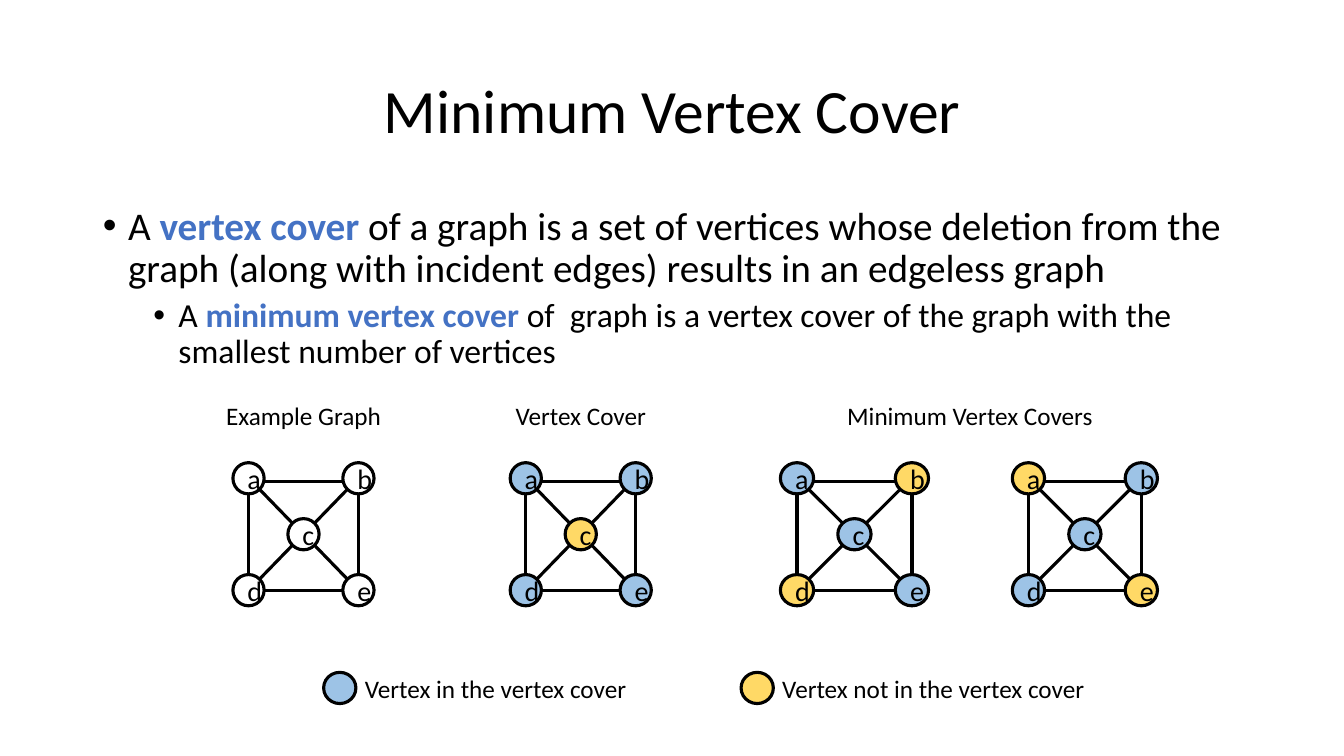
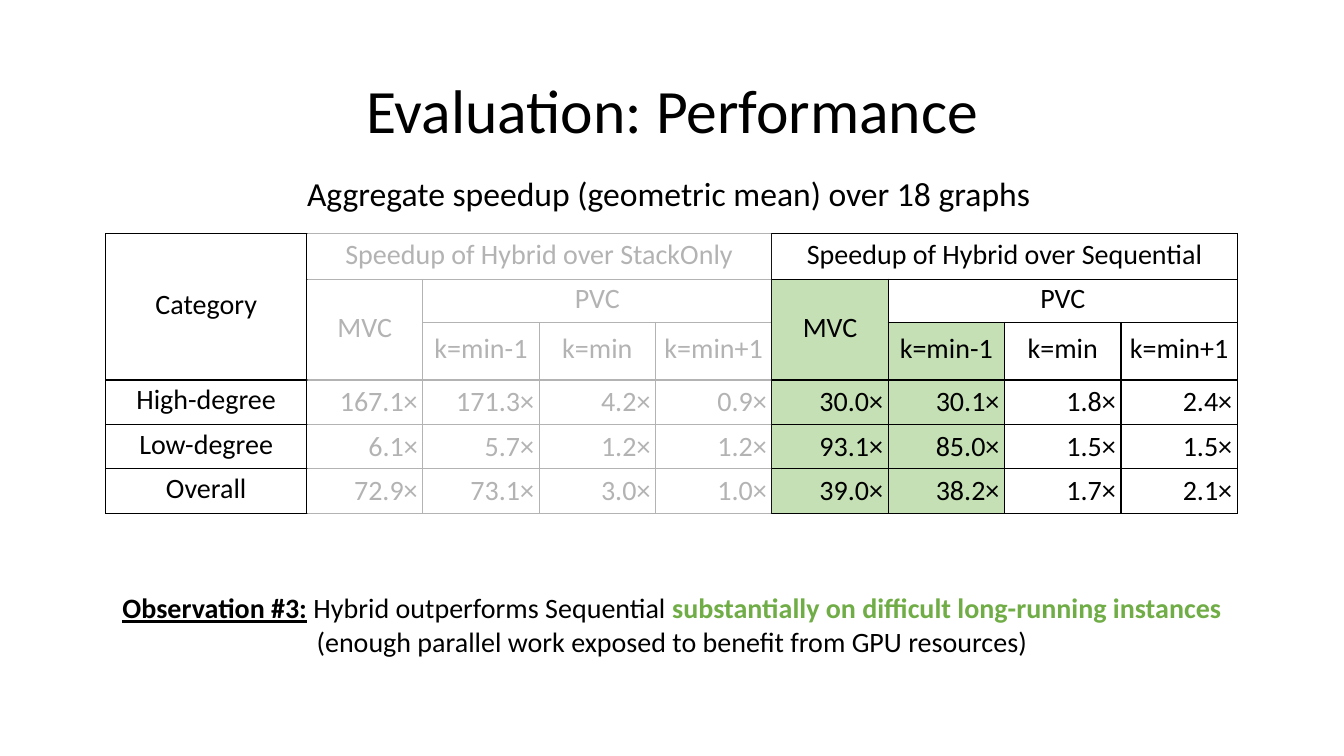
from lxml.etree import SubElement
from pptx import Presentation
from pptx.dml.color import RGBColor
from pptx.enum.shapes import MSO_CONNECTOR, MSO_SHAPE
from pptx.enum.text import MSO_ANCHOR, MSO_AUTO_SIZE, PP_ALIGN
from pptx.oxml.ns import qn
from pptx.util import Inches, Pt

# Shared style
FONT = "Calibri"
COLORS = {"black": "000000", "white": "FFFFFF", "term": "4472C4", "cover": "9DC3E6",
          "other": "FFD966", "highlight": "C5E0B4", "finding": "70AD47"}
TITLE_AREA = (0.92, 0.4, 11.5, 1.45)
LINE_WIDTH = Pt(2.25)

# Content: vertex cover slide; a text is a list of (words, format) spans
TERM = {"color": "term", "bold": True}
DEFINITIONS = [
    {"spans": [("A ", {}), ("vertex cover", TERM),
               (" of a graph is a set of vertices whose deletion from the graph "
                "(along with incident edges) results in an edgeless graph", {})],
     "size": 28, "level": 0, "before": 10, "indent": 0.25},
    {"spans": [("A ", {}), ("minimum vertex cover", TERM),
               (" of  graph is a vertex cover of the graph with the "
                "smallest number of vertices", {})],
     "size": 24, "level": 1, "before": 5, "indent": 0.75},
]
VERTICES = {"a": (0, 0), "b": (1, 0), "c": (0.5, 0.5), "d": (0, 1), "e": (1, 1)}
EDGES = ["ab", "ad", "be", "de", "ac", "bc", "cd", "ce"]
# left, distance between columns, vertex width, vertices in the cover (None: unmarked)
GRAPHS = [(2.31, 1.09, 0.31, None), (5.06, 1.09, 0.31, "abde"),
          (7.74, 1.14, 0.33, "ace"), (10.04, 1.12, 0.32, "bcd")]
GRAPH_TOP, ROW_DISTANCE, VERTEX_HEIGHT = 4.59, 1.11, 0.31
CAPTIONS = [("Example Graph", 1.95, 2.12), ("Vertex Cover", 4.7, 2.12),
            ("Minimum Vertex Covers", 8.12, 3)]
LEGEND = [("Vertex in the vertex cover", "cover", 3.21),
          ("Vertex not in the vertex cover", "other", 7.35)]

# Content: performance slide
COLUMN_WIDTHS = [1.99] + [1.154] * 8
ROW_HEIGHTS = [0.45, 0.43, 0.57, 0.43, 0.43, 0.43]
# row, column, rows spanned, columns spanned, text
HEADERS = [(0, 0, 3, 1, "Category")]
for first, baseline in ((1, "StackOnly"), (5, "Sequential")):
    HEADERS += [(0, first, 1, 4, f"Speedup of Hybrid over {baseline}"),
                (1, first, 2, 1, "MVC"), (1, first + 1, 1, 3, "PVC")]
    HEADERS += [(2, first + 1 + step, 1, 1, text)
                for step, text in enumerate(("k=min-1", "k=min", "k=min+1"))]
SPEEDUPS = [
    ("High-degree", 167.1, 171.3, 4.2, 0.9, 30.0, 30.1, 1.8, 2.4),
    ("Low-degree", 6.1, 5.7, 1.2, 1.2, 93.1, 85.0, 1.5, 1.5),
    ("Overall", 72.9, 73.1, 3.0, 1.0, 39.0, 38.2, 1.7, 2.1),
]
HIGHLIGHTED = {(row, 5) for row in range(1, 6)} | {(row, 6) for row in range(2, 6)}
OBSERVATION = [
    ("Observation #3:", {"bold": True, "underline": True}),
    (" Hybrid outperforms Sequential ", {}),
    ("substantially on difficult long-running instances", {"color": "finding", "bold": True}),
    (" (enough parallel work exposed to benefit from GPU resources)", {}),
]


def rgb(name):
    return RGBColor.from_string(COLORS[name])


def inches(*lengths):
    return [Inches(length) for length in lengths]


def write(para, text, size=18, align=None, spacing=None):
    """Fill a paragraph with a plain string or with (words, format) spans."""
    para.alignment = align
    if spacing:
        para.line_spacing = spacing
    for words, style in [(text, {})] if isinstance(text, str) else text:
        span = para.add_run()
        span.text = words
        span.font.name = FONT
        span.font.size = Pt(size)
        span.font.bold = style.get("bold", False)
        span.font.underline = style.get("underline", False)
        span.font.color.rgb = rgb(style.get("color", "black"))


def add_label(shapes, area, text, **style):
    box = shapes.add_textbox(*inches(*area))
    box.text_frame.word_wrap = True
    box.text_frame.auto_size = MSO_AUTO_SIZE.SHAPE_TO_FIT_TEXT
    write(box.text_frame.paragraphs[0], text, **style)


def add_page(deck, layout, title):
    page = deck.slides.add_slide(deck.slide_layouts.get_by_name(layout))
    place(page.shapes.title, TITLE_AREA)
    frame = page.shapes.title.text_frame
    frame.vertical_anchor = MSO_ANCHOR.MIDDLE
    frame.auto_size = MSO_AUTO_SIZE.NONE
    write(frame.paragraphs[0], title, size=44, align=PP_ALIGN.CENTER, spacing=0.9)
    return page


def place(shape, area):
    shape.left, shape.top, shape.width, shape.height = inches(*area)


def add_vertex(shapes, left, top, width, fill=None, name=None):
    vertex = shapes.add_shape(MSO_SHAPE.OVAL, *inches(left, top, width, VERTEX_HEIGHT))
    vertex.shadow.inherit = False
    if fill:
        vertex.fill.solid()
        vertex.fill.fore_color.rgb = rgb(fill)
    else:
        vertex.fill.background()
    vertex.line.color.rgb = rgb("black")
    vertex.line.width = LINE_WIDTH
    if name:
        write(vertex.text_frame.paragraphs[0], name, size=20, align=PP_ALIGN.CENTER)


def add_edge(shapes, start, end):
    edge = shapes.add_connector(MSO_CONNECTOR.STRAIGHT, *inches(*start, *end))
    edge.line.color.rgb = rgb("black")
    edge.line.width = LINE_WIDTH
    SubElement(edge._element.spPr, qn("a:effectLst"))


def add_graph(page, left, column_distance, width, cover):
    shapes = page.shapes.add_group_shape().shapes
    centers = {}
    for name, (column, row) in VERTICES.items():
        x, y = left + column * column_distance, GRAPH_TOP + row * ROW_DISTANCE
        centers[name] = (x + width / 2, y + VERTEX_HEIGHT / 2)
        fill = None if cover is None else "cover" if name in cover else "other"
        add_vertex(shapes, x, y, width, fill, name)
    for first, second in EDGES:
        (x1, y1), (x2, y2) = centers[first], centers[second]
        across, down = (x2 > x1) - (x2 < x1), y2 > y1
        # Edges stop at the rim: half a width away, or cos 45 degrees of that
        reach = 0.354 if across and down else 0.5
        dx, dy = across * reach * width, down * reach * VERTEX_HEIGHT
        drop = 0.03 if first + second == "ab" else 0
        add_edge(shapes, (x1 + dx, y1 + dy + drop), (x2 - dx, y2 - dy + drop))


def format_cell(cell, fill=None, inset=0.01):
    cell.margin_left = cell.margin_right = cell.margin_top = Inches(inset)
    cell.margin_bottom = Inches(0.05)
    cell.vertical_anchor = MSO_ANCHOR.MIDDLE
    properties = cell._tc.get_or_add_tcPr()
    for side in ("lnL", "lnR", "lnT", "lnB"):
        border = SubElement(properties, qn(f"a:{side}"), w=str(Pt(1)))
        paint = SubElement(border, qn("a:solidFill"))
        SubElement(paint, qn("a:srgbClr"), val=COLORS["black"])
    if fill:
        cell.fill.solid()
        cell.fill.fore_color.rgb = rgb(fill)
    else:
        cell.fill.background()


def build_cover_page(deck):
    page = add_page(deck, "Title and Content", "Minimum Vertex Cover")
    # Definitions
    body = page.placeholders[1]
    place(body, (0.92, 2, 11.5, 4.76))
    frame = body.text_frame
    frame.auto_size = MSO_AUTO_SIZE.NONE
    for number, item in enumerate(DEFINITIONS):
        para = frame.add_paragraph() if number else frame.paragraphs[0]
        para.level = item["level"]
        write(para, item["spans"], size=item["size"], align=PP_ALIGN.LEFT, spacing=0.9)
        para.space_before = Pt(item["before"])
        properties = para._p.get_or_add_pPr()
        properties.set("marL", str(Inches(item["indent"])))
        properties.set("indent", str(Inches(-0.25)))
        SubElement(properties, qn("a:buFont"), typeface="Arial")
        SubElement(properties, qn("a:buChar"), char="•")
    # Graphs, captions and legend
    for graph in GRAPHS:
        add_graph(page, *graph)
    for text, left, width in CAPTIONS:
        add_label(page.shapes, (left, 3.92, width, 0.4), text, align=PP_ALIGN.CENTER)
    for text, fill, left in LEGEND:
        add_vertex(page.shapes, left, 6.67, 0.32, fill)
        add_label(page.shapes, (left + 0.31, 6.63, 3.55, 0.4), text)


def build_performance_page(deck):
    page = add_page(deck, "Title Only", "Evaluation: Performance")
    # Speedup table
    area = (1.05, 2.32, sum(COLUMN_WIDTHS), sum(ROW_HEIGHTS))
    table = page.shapes.add_table(len(ROW_HEIGHTS), len(COLUMN_WIDTHS), *inches(*area)).table
    table.first_row = table.horz_banding = False
    for column, width in zip(table.columns, COLUMN_WIDTHS):
        column.width = Inches(width)
    for row, height in zip(table.rows, ROW_HEIGHTS):
        row.height = Inches(height)
    for row in range(len(ROW_HEIGHTS)):
        for column in range(len(COLUMN_WIDTHS)):
            is_value = row >= 3 and column >= 1
            format_cell(table.cell(row, column), inset=0.05 if is_value else 0.01,
                        fill="highlight" if (row, column) in HIGHLIGHTED else None)
    for row, column, height, width, text in HEADERS:
        cell = table.cell(row, column)
        if height * width > 1:
            cell.merge(table.cell(row + height - 1, column + width - 1))
        write(cell.text_frame.paragraphs[0], text, size=20, align=PP_ALIGN.CENTER)
    for row, (category, *values) in enumerate(SPEEDUPS, start=3):
        write(table.cell(row, 0).text_frame.paragraphs[0], category,
              size=20, align=PP_ALIGN.CENTER)
        for column, value in enumerate(values, start=1):
            write(table.cell(row, column).text_frame.paragraphs[0], f"{value:.1f}×",
                  size=20, align=PP_ALIGN.RIGHT)
    add_label(page.shapes, (2.87, 1.67, 7.6, 0.5),
              "Aggregate speedup (geometric mean) over 18 graphs ",
              size=24, align=PP_ALIGN.CENTER)
    # Translucent veil over the StackOnly columns
    veil = page.shapes.add_shape(MSO_SHAPE.RECTANGLE, *inches(3.05, 2.26, 4.6, 2.86))
    veil.shadow.inherit = False
    veil.fill.solid()
    veil.fill.fore_color.rgb = rgb("white")
    veil.line.fill.background()
    paint = veil._element.spPr.find(qn("a:solidFill")).find(qn("a:srgbClr"))
    SubElement(paint, qn("a:alpha"), val="70000")
    # Observation
    add_label(page.shapes, (1.04, 5.81, 11.25, 0.77), OBSERVATION,
              size=20, align=PP_ALIGN.CENTER)


deck = Presentation()
deck.slide_width, deck.slide_height = inches(13.33, 7.5)
build_cover_page(deck)
build_performance_page(deck)
deck.save("out.pptx")
